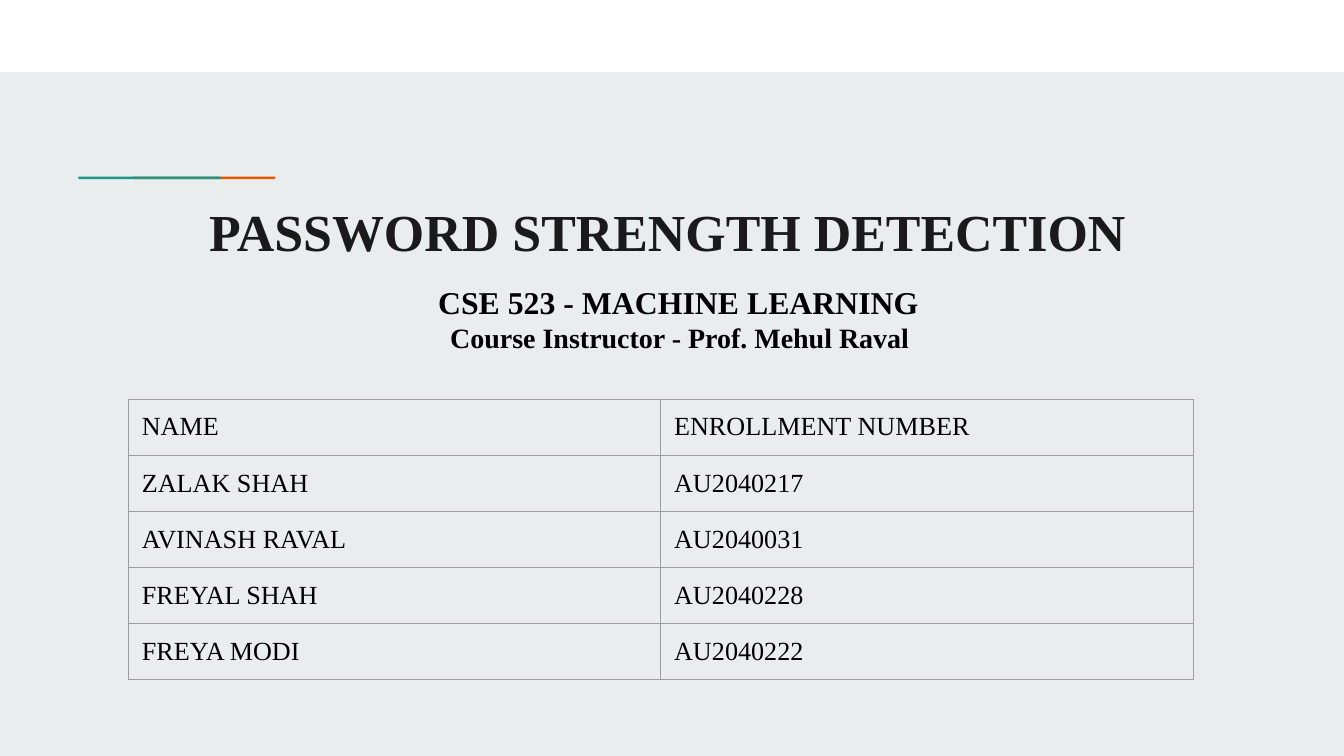
from lxml import etree
from pptx import Presentation
from pptx import util as u
from pptx.dml.color import RGBColor
from pptx.enum import shapes, text
from pptx.oxml.ns import qn

FONT = "Times New Roman"
PAD = 0.25
ROWS = [
    ("NAME", "ENROLLMENT NUMBER"),
    ("ZALAK SHAH", "AU2040217"),
    ("AVINASH RAVAL", "AU2040031"),
    ("FREYAL SHAH", "AU2040228"),
    ("FREYA MODI", "AU2040222"),
]


def paint(fill, color):
    fill.solid()
    fill.fore_color.rgb = RGBColor.from_string(color)


def write(para, words, size=14, color="000000", bold=False, left=0):
    """Put formatted text in a paragraph, indented by left cm."""
    para.alignment = text.PP_ALIGN.LEFT
    para._p.get_or_add_pPr().set("marL", str(u.Cm(left)))
    run = para.add_run()
    run.text = words
    run.font.name = FONT
    run.font.size = u.Pt(size)
    run.font.bold = bold
    run.font.color.rgb = RGBColor.from_string(color)


def inset(item, base=PAD):
    """Give a text frame or a cell its margins."""
    item.margin_left = item.margin_right = item.margin_top = u.Cm(PAD)
    item.margin_bottom = u.Cm(base)
    item.vertical_anchor = text.MSO_ANCHOR.TOP
    item.word_wrap = True


def place(shape, left, top, width, height):
    shape.left, shape.top = u.Cm(left), u.Cm(top)
    shape.width, shape.height = u.Cm(width), u.Cm(height)


def bar(slide, left, top, width, height, color):
    box = slide.shapes.add_shape(
        shapes.MSO_SHAPE.RECTANGLE,
        u.Cm(left), u.Cm(top), u.Cm(width), u.Cm(height))
    box.shadow.inherit = False
    paint(box.fill, color)
    box.line.fill.background()


def border(cell, color="9E9E9E", width=0.75):
    props = cell._tc.get_or_add_tcPr()
    for i, side in enumerate(("lnL", "lnR", "lnT", "lnB")):
        line = etree.Element(qn("a:" + side), w=str(u.Pt(width)))
        fill = etree.SubElement(line, qn("a:solidFill"))
        etree.SubElement(fill, qn("a:srgbClr"), val=color)
        props.insert(i, line)


def roster(slide, left, top, width, height):
    frame = slide.shapes.add_table(
        len(ROWS), len(ROWS[0]),
        u.Cm(left), u.Cm(top), u.Cm(width), u.Cm(height))
    grid = frame.table
    grid.first_row = grid.horz_banding = False
    for r, row in enumerate(ROWS):
        for c, words in enumerate(row):
            cell = grid.cell(r, c)
            inset(cell, base=0.2)
            cell.fill.background()
            border(cell)
            write(cell.text_frame.paragraphs[0], words)


def main():
    deck = Presentation()
    deck.slide_width, deck.slide_height = u.Cm(25.4), u.Cm(14.29)
    slide = deck.slides.add_slide(deck.slide_layouts[5])
    paint(slide.background.fill, "E9EDEE")

    # Top band and overlapping accent bars
    bar(slide, 0, 0, 25.4, 1.36, "FFFFFF")
    for left, color in ((2.51, "EB5600"), (1.48, "1A9988")):
        bar(slide, left, 3.34, 2.69, 0.05, color)

    # Title
    title = slide.shapes.title
    place(title, 2.43, 3.53, 21.87, 1.57)
    inset(title.text_frame)
    title.text_frame.auto_size = text.MSO_AUTO_SIZE.NONE
    write(title.text_frame.paragraphs[0], "PASSWORD STRENGTH DETECTION",
          size=27.8, color="1A1A1A", bold=True, left=1.27)

    # Course and instructor
    box = slide.shapes.add_textbox(0, 0, 0, 0)
    place(box, 2.65, 5.09, 18.36, 1.88)
    frame = box.text_frame
    inset(frame)
    write(frame.paragraphs[0], "CSE 523 - MACHINE LEARNING",
          size=17, bold=True, left=5.38)
    write(frame.add_paragraph(), "Course Instructor - Prof. Mehul Raval",
          size=15, bold=True, left=5.61)

    # Team members
    roster(slide, 2.43, 7.55, 20.12, 5.3)

    deck.save("out.pptx")


if __name__ == "__main__":
    main()
